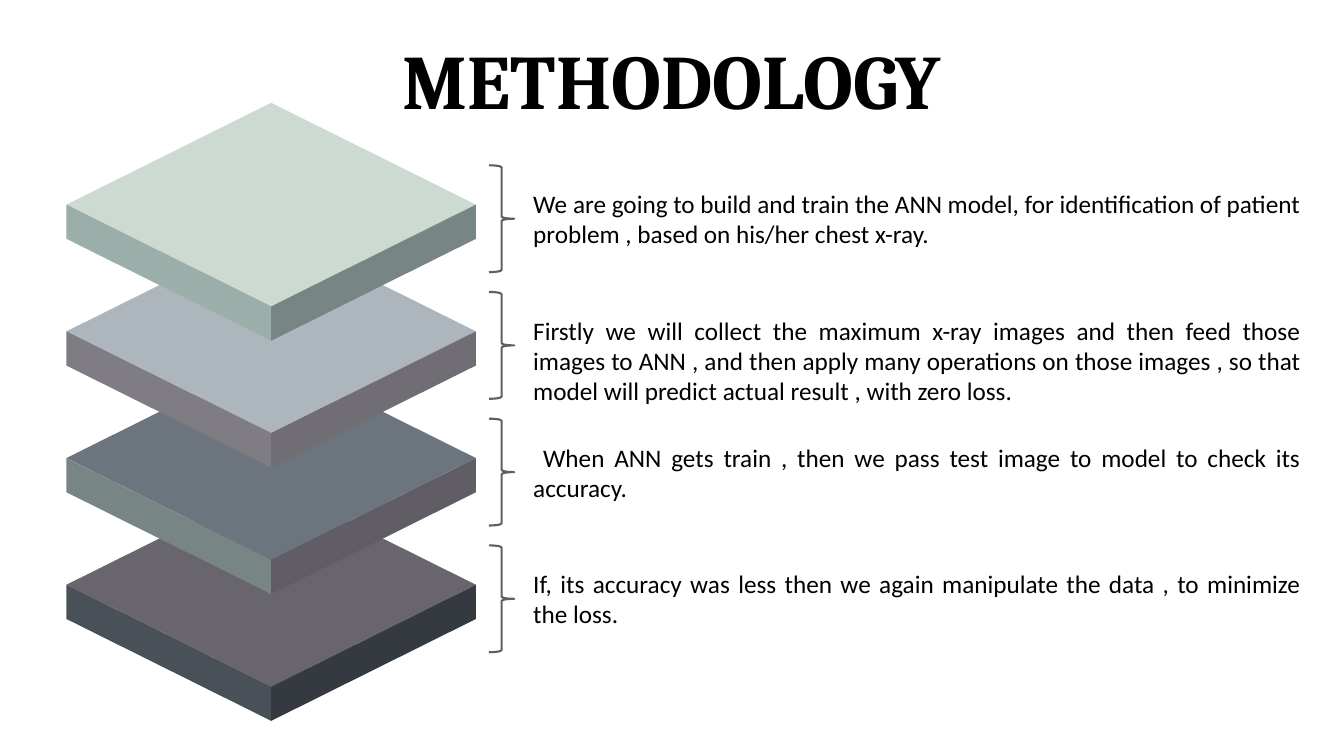
from pptx import Presentation
from pptx.dml.color import RGBColor
from pptx.enum.shapes import MSO_SHAPE
from pptx.enum.text import MSO_AUTO_SIZE, PP_ALIGN
from pptx.util import Inches, Pt

TITLE = "METHODOLOGY"
STEPS = [
    ("We are going to build and train the ANN model, for identification of patient "
     "problem , based on his/her chest x-ray.", 0.71, ("mint", "sage", "moss")),
    ("Firstly we will collect the maximum x-ray images and then feed those images to "
     "ANN , and then apply many operations on those images , so that model will "
     "predict actual result , with zero loss.", 1.01, ("mist", "mauve", "plum")),
    (" When ANN gets train , then we pass test image to model to check its accuracy.",
     0.71, ("steel", "moss", "dusk")),
    ("If, its accuracy was less then we again manipulate the data , to minimize "
     "the loss.", 0.71, ("stone", "slate", "night")),
]
COLORS = {
    "black": "000000", "mint": "CCDAD1", "sage": "9CAEA9", "moss": "788585",
    "mist": "ADB5BD", "mauve": "7F7C83", "plum": "706D74", "steel": "6C757D",
    "dusk": "605E64", "stone": "68656C", "slate": "495057", "night": "343A40",
}

LEFT, CENTER, RIGHT = 0.66, 2.69, 4.72
LAYER_TOP, HALF_HEIGHT, THICKNESS, PITCH = 1.02, 1.01, 0.34, 1.257
BRACE_TOP, STEP_TOP = 1.64, 1.82


def color(name):
    return RGBColor.from_string(COLORS[name])


def add_face(slide, corners, fill):
    start, *others = [(Inches(x), Inches(y)) for x, y in corners]
    builder = slide.shapes.build_freeform(*start, scale=1.0)
    builder.add_line_segments(others, close=True)
    face = builder.convert_to_shape()
    face.shadow.inherit = False
    face.fill.solid()
    face.fill.fore_color.rgb = color(fill)
    face.line.fill.background()


def add_layer(slide, top, fills):
    middle, front = top + HALF_HEIGHT, top + 2 * HALF_HEIGHT
    lid = [(CENTER, top), (LEFT, middle), (CENTER, front), (RIGHT, middle)]
    sides = [
        [(edge, middle), (edge, middle + THICKNESS),
         (CENTER, front + THICKNESS), (CENTER, front)]
        for edge in (LEFT, RIGHT)
    ]
    for corners, fill in zip([lid, *sides], fills):
        add_face(slide, corners, fill)


def add_text(slide, text, box, font_name, size, alignment, bold=False):
    frame = slide.shapes.add_textbox(*map(Inches, box)).text_frame
    frame.word_wrap = True
    frame.auto_size = MSO_AUTO_SIZE.SHAPE_TO_FIT_TEXT
    paragraph = frame.paragraphs[0]
    paragraph.text = text
    paragraph.alignment = alignment
    paragraph.font.name = font_name
    paragraph.font.size = Pt(size)
    paragraph.font.bold = bold
    paragraph.font.color.rgb = color("black")


def add_brace(slide, top):
    brace = slide.shapes.add_shape(
        MSO_SHAPE.RIGHT_BRACE, Inches(4.85), Inches(top), Inches(0.25), Inches(1.06))
    brace.shadow.inherit = False
    brace.fill.background()
    brace.line.color.rgb = color("dusk")
    brace.line.width = Pt(1.5)


def main():
    presentation = Presentation()
    presentation.slide_width, presentation.slide_height = Inches(13.33), Inches(7.5)
    slide = presentation.slides.add_slide(presentation.slide_layouts[6])

    add_text(slide, TITLE, (2.69, 0.27, 7.95, 1.03), "Cambria", 55,
             PP_ALIGN.CENTER, bold=True)
    for row, (_, _, fills) in reversed(list(enumerate(STEPS))):
        add_layer(slide, LAYER_TOP + row * PITCH, fills)
    for row, (text, height, _) in enumerate(STEPS):
        add_text(slide, text, (5.19, STEP_TOP + row * PITCH, 7.81, height),
                 "Calibri", 18, PP_ALIGN.JUSTIFY)
        add_brace(slide, BRACE_TOP + row * PITCH)

    presentation.save("out.pptx")


if __name__ == "__main__":
    main()
